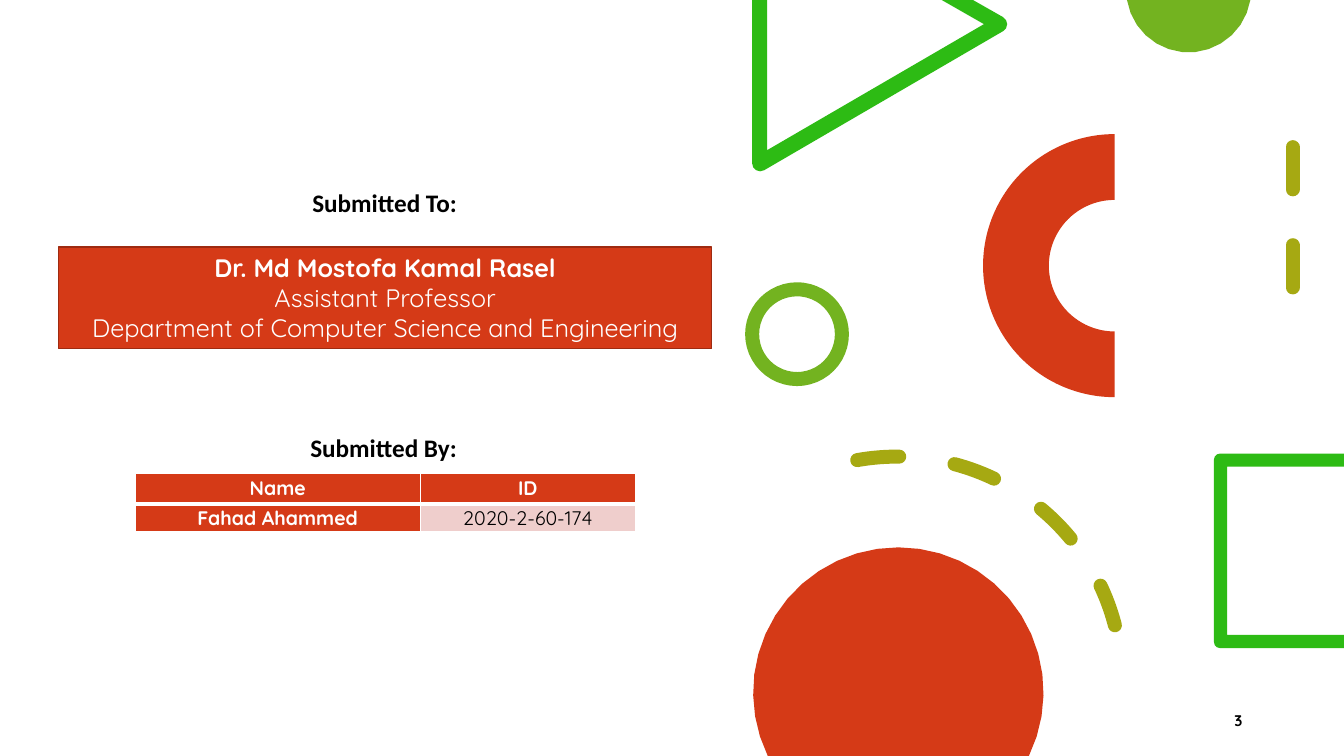
"""Build the submission slide with its geometric decoration."""
from dataclasses import dataclass
from math import acos, ceil, cos, degrees, radians, sin

from lxml import etree
from pptx import Presentation
from pptx.dml.color import RGBColor
from pptx.enum.shapes import MSO_CONNECTOR as LINE, MSO_SHAPE as SHAPE
from pptx.enum.dml import MSO_LINE as DASH
from pptx.enum.text import MSO_ANCHOR as ANCHOR, PP_ALIGN as ALIGN
from pptx.oxml import parse_xml
from pptx.oxml.ns import nsdecls, qn
from pptx.util import Inches, Pt


@dataclass(frozen=True)
class Theme:
    red: str = "D53A17"
    dark_red: str = "9E2B11"
    pink: str = "EFCECC"
    green: str = "2DBB14"
    leaf: str = "73B320"
    olive: str = "A6A912"
    white: str = "FFFFFF"
    black: str = "000000"
    heading_font: str = "Calibri"
    body_font: str = "Quicksand"
    heading: int = 18
    cell: int = 14
    number: int = 11
    stroke: int = 10


T = Theme()
W, H = 13.33, 7.5

SUBMITTED_TO = "Submitted To:"
SUBMITTED_BY = "Submitted By:"
TEACHER = [
    "Dr. Md Mostofa Kamal Rasel",
    "Assistant Professor",
    "Department of Computer Science and Engineering",
]
STUDENTS = [("Name", "ID"), ("Fahad Ahammed", "2020-2-60-174")]
PAGE = "3"

COLUMNS, ROWS = (2.83, 2.13), (0.3, 0.27)
BOXES = {
    "to": (0.48, 1.81, 6.67, 0.4),
    "teacher": (0.58, 2.45, 6.48, 1.01),
    "by": (2.01, 4.24, 3.59, 0.4),
    "students": (1.34, 4.7, sum(COLUMNS), sum(ROWS)),
    "page": (9.42, 6.95, 3, 0.4),
}

# Each outline mixes points (x, y) with arcs (x, y, radius, start, end).
OUTLINES = [
    (T.leaf, [(11.79, -0.1, 0.62, 9.3, 170.7)]),
    (T.green, [(7.46, 0), (7.61, 0), (7.61, 1.49), (9.76, 0.24), (9.34, 0), (9.65, 0),
               (9.91, 0.24, 0.08, -60, 60), (7.54, 1.62, 0.08, 60, 180)]),
    (T.green, [(W, 4.5), (W, 4.63), (12.17, 4.63), (12.17, 6.3), (W, 6.3), (W, 6.43),
               (12.1, 6.37, 0.06, 90, 180), (12.1, 4.56, 0.06, 180, 270)]),
    (T.red, [(8.91, 6.87, 1.44, 154, 386)]),
]


def rgb(color):
    return RGBColor.from_string(color)


def place(box):
    return [Inches(v) for v in box]


def trace(parts, tolerance=0.004):
    for part in parts:
        if len(part) == 2:
            yield place(part)
            continue
        x, y, radius, start, end = part
        steps = ceil((end - start) / degrees(2 * acos(1 - tolerance / radius)))
        for i in range(steps + 1):
            a = radians(start + (end - start) * i / steps)
            yield place((x + radius * cos(a), y + radius * sin(a)))


def paint(sp, fill=None, line=None, width=1):
    sp.shadow.inherit = False
    if fill:
        sp.fill.solid()
        sp.fill.fore_color.rgb = rgb(fill)
    else:
        sp.fill.background()
    if line:
        sp.line.color.rgb = rgb(line)
        sp.line.width = Pt(width)
    else:
        sp.line.fill.background()


def dash(sp):
    sp.line.color.rgb = rgb(T.olive)
    sp.line.width = Pt(T.stroke)
    sp.line.dash_style = DASH.DASH
    sp.line._get_or_add_ln().set("cap", "rnd")


def style(p, size, font, color, bold=True, align=ALIGN.CENTER):
    p.alignment = align
    for r in p.runs:
        r.font.size, r.font.name, r.font.bold = Pt(size), font, bold
        r.font.color.rgb = rgb(color)


def add_label(sp, box, text, size, font, align=ALIGN.CENTER):
    sp.left, sp.top, sp.width, sp.height = place(box)
    tf = sp.text_frame
    tf.text, tf.word_wrap, tf.vertical_anchor = text, True, ANCHOR.MIDDLE
    style(tf.paragraphs[0], size, font, T.black, align=align)


def add_decoration(shapes):
    for color, parts in OUTLINES:
        start, *rest = trace(parts)
        builder = shapes.build_freeform(*start, scale=1)
        builder.add_line_segments(rest, close=True)
        paint(builder.convert_to_shape(), color)

    ring = shapes.add_shape(SHAPE.OVAL, *place((7.46, 2.87, 0.89, 0.89)))
    paint(ring, line=T.leaf, width=T.stroke)
    half_ring = shapes.add_shape(SHAPE.BLOCK_ARC, *place((9.75, 1.33, 2.61, 2.61)))
    half_ring.rotation = 270
    paint(half_ring, T.red)
    arc = shapes.add_shape(SHAPE.ARC, *place((6.66, 4.53, 4.47, 4.47)))
    arc.rotation = 349.9
    paint(arc)
    dash(arc)
    stripe = shapes.add_connector(LINE.STRAIGHT, *place((12.82, 1.46, 12.82, 3.2)))
    dash(stripe)
    etree.SubElement(stripe._element.spPr, qn("a:effectLst"))


def add_teacher(shapes):
    sp = shapes.add_shape(SHAPE.RECTANGLE, *place(BOXES["teacher"]))
    paint(sp, T.red, T.dark_red)
    tf = sp.text_frame
    tf.text = "\n".join(TEACHER)
    tf.word_wrap, tf.vertical_anchor = False, ANCHOR.TOP
    for i, p in enumerate(tf.paragraphs):
        style(p, T.heading, T.body_font, T.white, bold=i == 0)


def add_borders(cell, bottom):
    tc_pr = cell._tc.get_or_add_tcPr()
    for side, width in zip("LRTB", (1, 1, 1, bottom)):
        tc_pr.append(parse_xml(
            f'<a:ln{side} {nsdecls("a")} w="{Pt(width)}"><a:solidFill>'
            f'<a:srgbClr val="{T.white}"/></a:solidFill></a:ln{side}>'))


def add_students(shapes):
    table = shapes.add_table(len(ROWS), len(COLUMNS), *place(BOXES["students"])).table
    for column, width in zip(table.columns, COLUMNS):
        column.width = Inches(width)
    for i, (row, height) in enumerate(zip(table.rows, ROWS)):
        row.height = Inches(height)
        for j, cell in enumerate(row.cells):
            header = i == 0 or j == 0
            add_borders(cell, 3 if i == 0 else 1)
            cell.fill.solid()
            cell.fill.fore_color.rgb = rgb(T.red if header else T.pink)
            cell.margin_left = cell.margin_right = Inches(0.07)
            cell.margin_top = cell.margin_bottom = 0
            cell.text_frame.text = STUDENTS[i][j]
            p = cell.text_frame.paragraphs[0]
            p.line_spacing, p.space_after = 1.07, Pt(8)
            style(p, T.cell, T.body_font, T.white if header else T.black, header)


def main():
    prs = Presentation()
    prs.slide_width, prs.slide_height = Inches(W), Inches(H)
    s = prs.slides.add_slide(prs.slide_layouts[5])
    shapes = s.shapes
    add_decoration(shapes)
    add_label(shapes.title, BOXES["to"], SUBMITTED_TO, T.heading, T.heading_font)
    add_teacher(shapes)
    by = shapes.add_textbox(*place(BOXES["by"]))
    add_label(by, BOXES["by"], SUBMITTED_BY, T.heading, T.heading_font)
    add_students(shapes)
    page = shapes.add_textbox(*place(BOXES["page"]))
    add_label(page, BOXES["page"], PAGE, T.number, T.body_font, ALIGN.RIGHT)
    prs.save("out.pptx")


if __name__ == "__main__":
    main()
